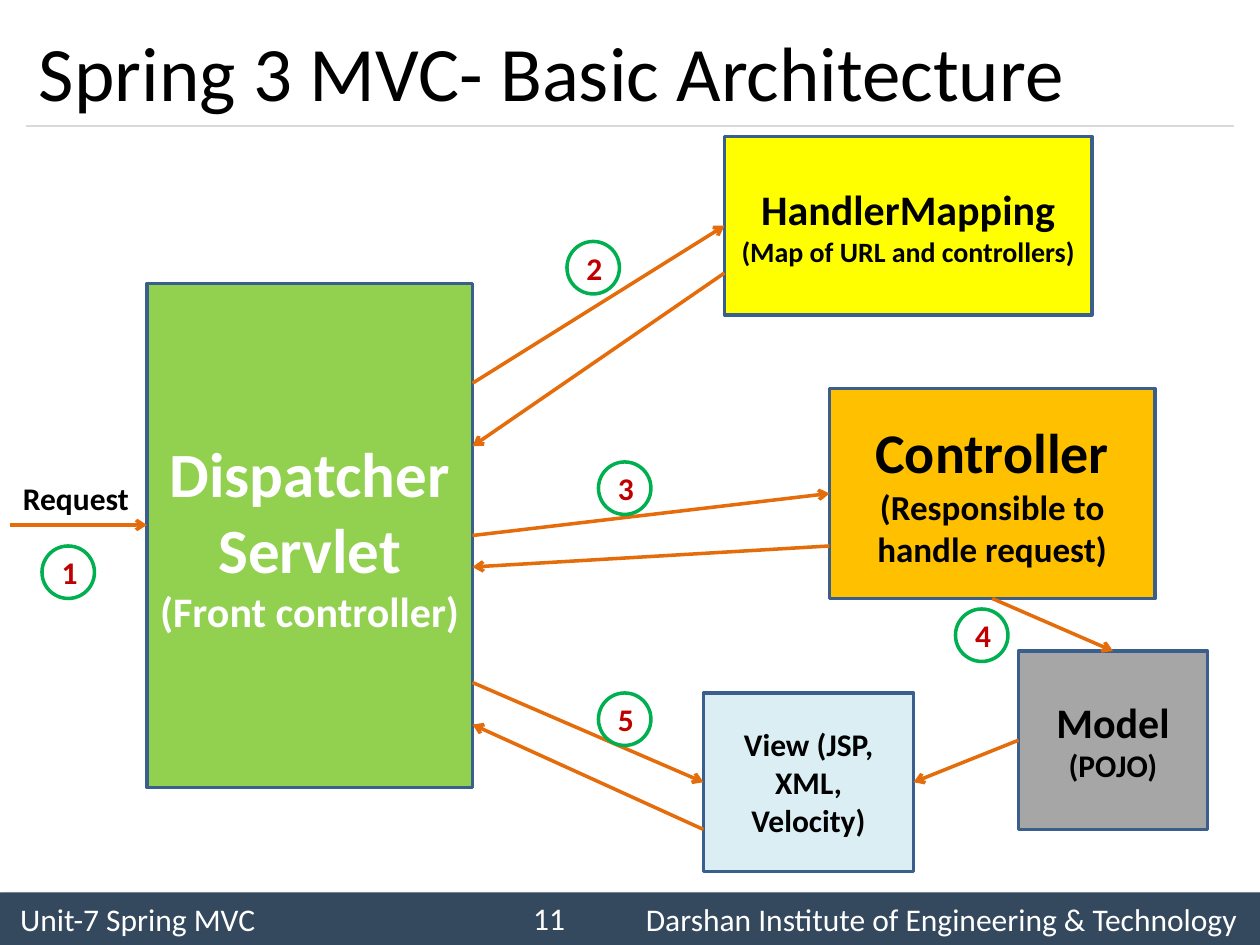
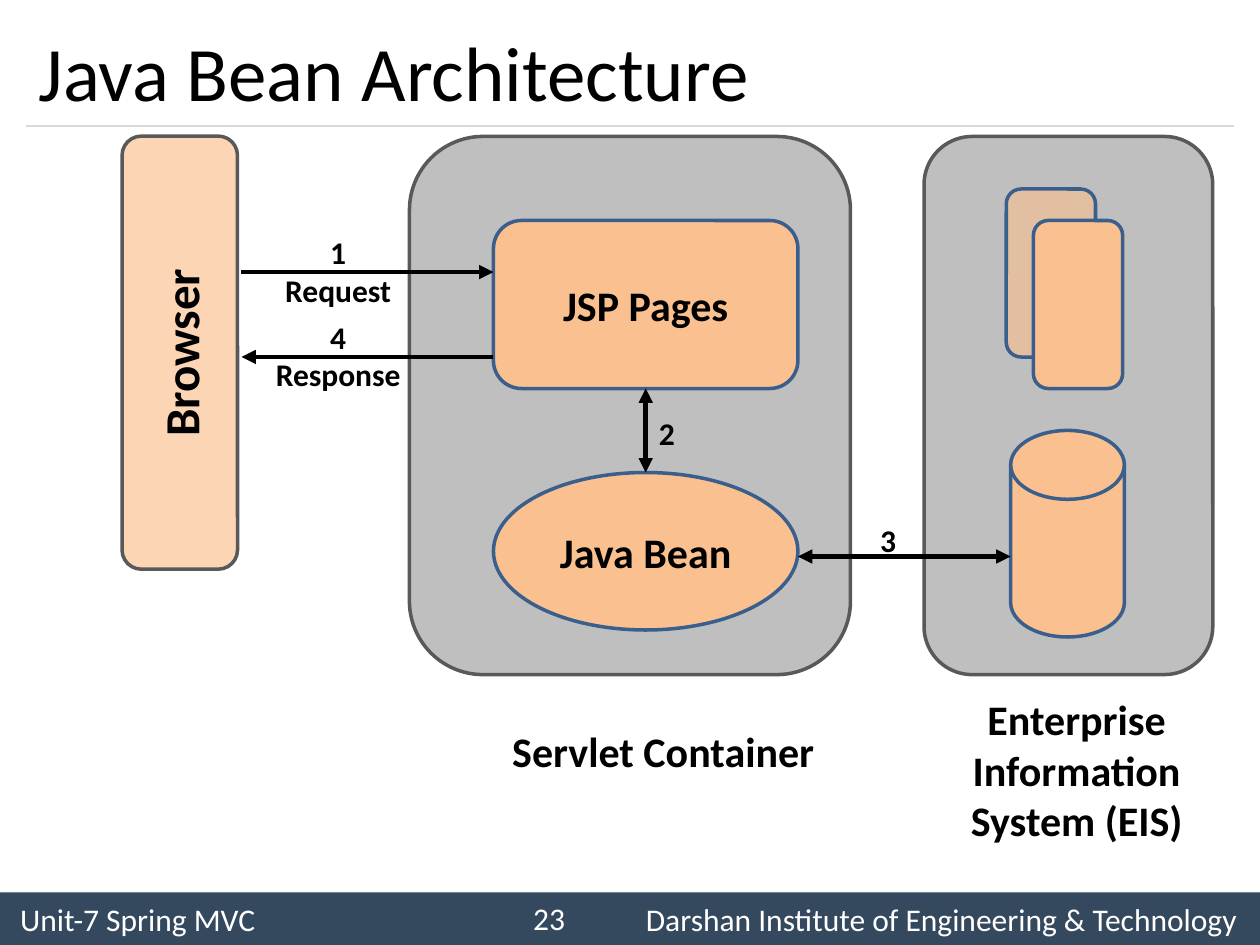
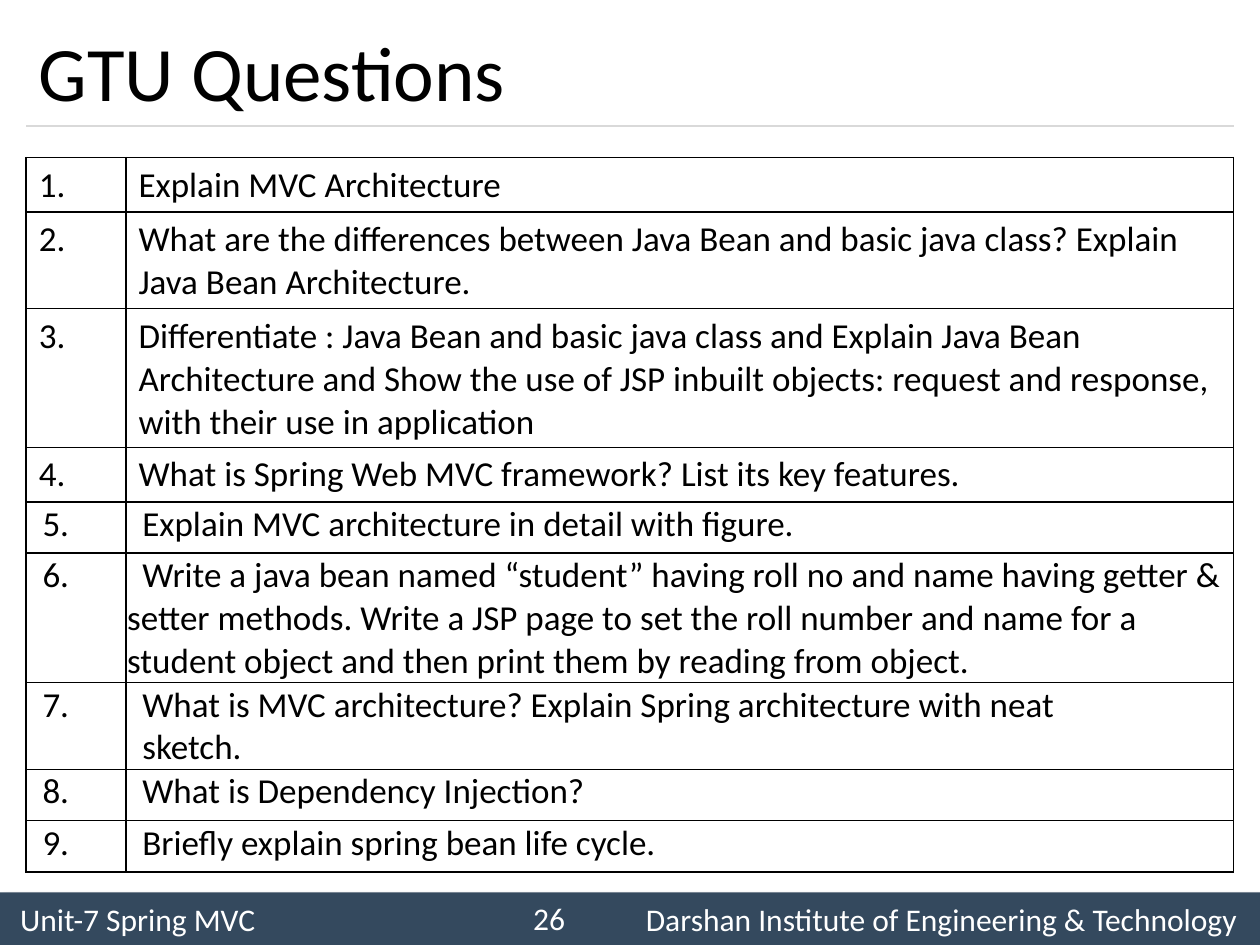
import dataclasses

import lxml.etree
import pptx
import pptx.dml.color
import pptx.enum.shapes
import pptx.enum.text
import pptx.oxml
import pptx.oxml.ns
import pptx.util

Pt = pptx.util.Pt
SHAPE = pptx.enum.shapes.MSO_SHAPE
ALIGN = pptx.enum.text.PP_ALIGN
ANCHOR = pptx.enum.text.MSO_ANCHOR
qn = pptx.oxml.ns.qn


@dataclasses.dataclass(frozen=True)
class Theme:
    font: str = "Calibri"
    black: str = "000000"
    white: str = "FFFFFF"
    band: str = "34495E"
    rule: str = "D9D9D9"
    outline: str = "3A5F8C"
    panel: str = "BFBFBF"
    panel_line: str = "595959"
    peach: str = "FAC090"
    pale_peach: str = "FCD5B5"
    green: str = "92D050"
    yellow: str = "FFFF00"
    amber: str = "FFC000"
    ice: str = "DBEEF4"
    grey: str = "A6A6A6"
    arrow: str = "E46C0A"
    badge_line: str = "00B050"
    badge_text: str = "C00000"
    title: int = 44
    hero: int = 36
    large: int = 32
    side: int = 28
    heading: int = 24
    body: int = 20
    small: int = 18
    tiny: int = 16


T = Theme()
WIDTH, HEIGHT = 720, 540
TITLE_BOX = (15, 9, 690, 63)
CONTENT_BOX = (0, 72, 720, 438)
TABLE_BOX = (15, 90, 690, 409)
BAND_BOX = (0, 510, 720, 30)


# Shared helpers
def rgb(code):
    return pptx.dml.color.RGBColor.from_string(code)


def points(values):
    return [Pt(v) for v in values]


def add_xml(parent, tag, **attrs):
    return lxml.etree.SubElement(parent, qn(tag), attrs)


def style_font(p, size, color=T.black, bold=False):
    formats = {"name": T.font, "size": Pt(size), "bold": bold}
    for r in p.runs:
        for name, value in formats.items():
            setattr(r.font, name, value)
        r.font.color.rgb = rgb(color)


def put_text(tf, lines, color=T.black, bold=True, align=ALIGN.CENTER):
    """Write (text, size) pairs, one paragraph each."""
    for i, (text, size) in enumerate(lines):
        p = tf.add_paragraph() if i else tf.paragraphs[0]
        p.text = text
        p.alignment = align
        style_font(p, size, color, bold)


def add_box(s, box, fill, lines=(), kind=SHAPE.RECTANGLE, line=T.outline, color=T.black):
    sp = s.shapes.add_shape(kind, *points(box))
    sp.shadow.inherit = False
    sp.fill.solid()
    sp.fill.fore_color.rgb = rgb(fill)
    sp.line.color.rgb = rgb(line)
    sp.line.width = Pt(2)
    sp.text_frame.vertical_anchor = ANCHOR.MIDDLE
    put_text(sp.text_frame, lines, color)
    return sp


def add_label(s, box, lines, align=ALIGN.CENTER, **style):
    sp = s.shapes.add_textbox(*points(box))
    sp.text_frame.word_wrap = False
    put_text(sp.text_frame, lines, align=align, **style)
    return sp


def add_line(s, ends, color, width, head=None, tail=None):
    cn = s.shapes.add_connector(pptx.enum.shapes.MSO_CONNECTOR.STRAIGHT, *points(ends))
    cn.line.color.rgb = rgb(color)
    cn.line.width = Pt(width)
    ln = cn.line._get_or_add_ln()
    for tag, kind in (("a:headEnd", head), ("a:tailEnd", tail)):
        if kind:
            add_xml(ln, tag, type=kind)
    add_xml(cn.element.spPr, "a:effectLst")
    return cn


def mover(x, y):
    """Return functions that shift a box or a pair of line ends to the region."""
    def box(left, top, w, h):
        return x + left, y + top, w, h

    def ends(x1, y1, x2, y2):
        return x + x1, y + y1, x + x2, y + y2

    return box, ends


# Footer band and title rule, kept on the layout
def build_layout(layout, s, box):
    x, y, w, h = box
    band = add_box(s, box, T.band)
    band.line.fill.background()
    effects = band.element.spPr.find(qn("a:effectLst"))
    shadow = add_xml(effects, "a:outerShdw", blurRad=str(Pt(4)), dist=str(Pt(3)), dir="2700000")
    add_xml(add_xml(shadow, "a:srgbClr", val=T.black), "a:alpha", val="40000")

    tf = band.text_frame
    tf.margin_left, tf.margin_right = Pt(11.5), 0
    p = tf.paragraphs[0]
    tabs = add_xml(p._p.get_or_add_pPr(), "a:tabLst")
    add_xml(tabs, "a:tab", pos=str(Pt(w - 24.5)), algn="r")
    put_text(tf, [("Unit-7 Spring MVC\tDarshan Institute of Engineering & Technology", T.small)],
             T.white, False, ALIGN.LEFT)

    rule = add_line(s, (15, 72, w - 15, 72), T.rule, 0.75)
    for part in (band, rule):
        layout.shapes.element.append(part.element)


def add_title(s, box, title, number):
    sp = s.shapes.title
    sp.left, sp.top, sp.width, sp.height = points(box)
    sp.text_frame.vertical_anchor = ANCHOR.MIDDLE
    put_text(sp.text_frame, [(title, T.title)], bold=False, align=ALIGN.LEFT)
    add_label(s, (282, BAND_BOX[1], 48, 29), [(number, T.small)], ALIGN.RIGHT,
              color=T.white, bold=False)


# Request flow through the framework
def draw_mvc(s, box):
    at, ends = mover(*box[:2])
    components = [
        ((84, 90, 186, 288), T.green, T.white,
         [("Dispatcher\vServlet", T.hero), ("(Front controller)", T.heading)]),
        ((414, 6, 210, 102), T.yellow, T.black,
         [("HandlerMapping", T.heading), ("(Map of URL and controllers)", T.tiny)]),
        ((474, 150, 186, 120), T.amber, T.black,
         [("Controller", T.large), ("(Responsible to handle request)", T.body)]),
        ((402, 324, 120, 102), T.ice, T.black, [("View (JSP, XML, Velocity)", T.small)]),
        ((582, 300, 108, 102), T.grey, T.black,
         [("Model", T.heading), ("(POJO)", T.small)]),
    ]
    for place, fill, color, lines in components:
        add_box(s, at(*place), fill, lines, color=color)

    calls = [
        (270, 147, 414, 57), (414, 84, 270, 183),
        (270, 234, 474, 210), (474, 240, 270, 252),
        (270, 318, 402, 375), (402, 402, 270, 342),
        (6, 228, 84, 228), (567, 270, 636, 300), (582, 351, 522, 375),
    ]
    for call in calls:
        add_line(s, ends(*call), T.arrow, 2, tail="arrow")
    add_label(s, at(6, 198, 75.5, 29), [("Request", T.small)], ALIGN.LEFT)

    # Step badges
    steps = [(24, 240), (324, 66), (342, 192), (546, 276), (342, 324)]
    for number, (left, top) in enumerate(steps, 1):
        sp = add_box(s, at(left, top, 30, 30), T.white, [(str(number), T.small)],
                     SHAPE.OVAL, T.badge_line, T.badge_text)
        sp.text_frame.margin_left, sp.text_frame.margin_right = Pt(1.5), 0


# Browser, servlet container and enterprise system
def draw_java_bean(s, box):
    at, ends = mover(*box[:2])
    for left, w in ((234, 252), (528, 165)):
        add_box(s, at(left, 6, w, 307.5), T.panel, kind=SHAPE.ROUNDED_RECTANGLE,
                line=T.panel_line)
    browser = add_box(s, at(-21, 96.5, 247.5, 66), T.pale_peach, [("Browser", T.side)],
                      SHAPE.ROUNDED_RECTANGLE, T.panel_line)
    browser.rotation = 270

    parts = [
        (SHAPE.ROUNDED_RECTANGLE, (282, 54, 174, 96), "JSP Pages"),
        (SHAPE.OVAL, (282, 198, 174, 90), "Java Bean"),
        (SHAPE.FLOWCHART_MAGNETIC_DISK, (577.5, 174, 65, 118), ""),
    ]
    for kind, place, name in parts:
        add_box(s, at(*place), T.peach, [(name, T.heading)] if name else (), kind)

    back_page, _ = [add_box(s, at(left, top, 51, 96), T.peach, kind=SHAPE.ROUNDED_RECTANGLE)
                    for left, top in ((575, 36), (590.5, 54))]
    color = back_page.element.spPr.find(qn("a:solidFill"))[0]
    add_xml(color, "a:alpha", val="61000")

    captions = [
        ((544, 321, 142.5, 94), ("Enterprise", "Information", "System (EIS)"), T.heading),
        ((284.5, 339, 189, 36), ("Servlet Container",), T.heading),
        ((155.5, 57.5, 75.5, 51), ("1", "Request"), T.small),
        ((150, 106, 86.5, 51), ("4", "Response"), T.small),
        ((369, 161, 24, 29), ("2",), T.small),
        ((495.5, 222, 24, 29), ("3",), T.small),
    ]
    for place, lines, size in captions:
        add_label(s, at(*place), [(line, size) for line in lines])

    flows = [
        ((138, 83.5, 282, 83.5), None), ((282, 132, 138, 132), None),
        ((369, 150, 369, 198), "triangle"), ((456, 246, 577.5, 246), "triangle"),
    ]
    for flow, head in flows:
        add_line(s, ends(*flow), T.black, 2.75, head, "triangle")


# Question tables
def format_cell(cell, text, compact, margin, indent):
    tc_pr = cell._tc.get_or_add_tcPr()
    for side in "LRTB":
        ln = add_xml(tc_pr, "a:ln" + side, w=str(Pt(1)))
        add_xml(add_xml(ln, "a:solidFill"), "a:srgbClr", val=T.black)
    cell.fill.background()
    if compact:
        for side, inset in {"left": 0.72, "right": 0.72, "top": 0.72, "bottom": 0}.items():
            setattr(cell, "margin_" + side, Pt(inset))
    put_text(cell.text_frame, [(line, T.body) for line in text.split("\n")],
             bold=False, align=ALIGN.LEFT)
    if compact:
        for p in cell.text_frame.paragraphs:
            p_pr = p._p.get_or_add_pPr()
            p_pr.set("marL", str(Pt(margin)))
            p_pr.set("indent", str(Pt(indent)))


def add_questions(s, box, first, rows, compact):
    x, y, w, h = box
    table = s.shapes.add_table(len(rows), 2, *points(box)).table
    table.first_row = table.horz_banding = False
    for column, width in zip(table.columns, (57, w - 57)):
        column.width = Pt(width)
    for i, (height, question) in enumerate(rows):
        table.rows[i].height = Pt(height)
        format_cell(table.cell(i, 0), f"{first + i}.", compact, 5, 3.6)
        format_cell(table.cell(i, 1), question, compact, 0, 8.64)


def draw_questions(s, box):
    x, y, w, _ = box
    single = [
        (31, "Explain MVC Architecture"),
        (55.4, "What are the differences between Java Bean and basic java class? "
               "Explain Java Bean Architecture."),
        (79.2, "Differentiate : Java Bean and basic java class and Explain Java Bean "
               "Architecture and Show the use of JSP inbuilt objects: request and response, "
               "with their use in application"),
        (31, "What is Spring Web MVC framework? List its key features."),
    ]
    grouped = [
        (29.4, "Explain MVC architecture in detail with figure."),
        (74, "Write a java bean named “student” having roll no and name having getter & "
             "setter methods. Write a JSP page to set the roll number and name for a "
             "student object and then print them by reading from object."),
        (49.6, "What is MVC architecture? Explain Spring architecture with neat\nsketch."),
        (29.4, "What is Dependency Injection?"),
        (29.4, "Briefly explain spring bean life cycle."),
    ]
    first = 1
    for rows in [[row] for row in single] + [grouped]:
        h = sum(height for height, _ in rows)
        add_questions(s, (x, y, w, h), first, rows, rows is grouped)
        y += h
        first += len(rows)


def main():
    prs = pptx.Presentation()
    prs.slide_width, prs.slide_height = Pt(WIDTH), Pt(HEIGHT)
    layout = prs.slide_layouts[5]
    pages = [
        ("Spring 3 MVC- Basic Architecture", "11", draw_mvc, CONTENT_BOX),
        ("Java Bean Architecture", "23", draw_java_bean, CONTENT_BOX),
        ("GTU Questions", "26", draw_questions, TABLE_BOX),
    ]
    for i, (title, number, draw, box) in enumerate(pages):
        s = prs.slides.add_slide(layout)
        if i == 0:
            build_layout(layout, s, BAND_BOX)
        add_title(s, TITLE_BOX, title, number)
        draw(s, box)
    prs.save("out.pptx")


if __name__ == "__main__":
    main()
